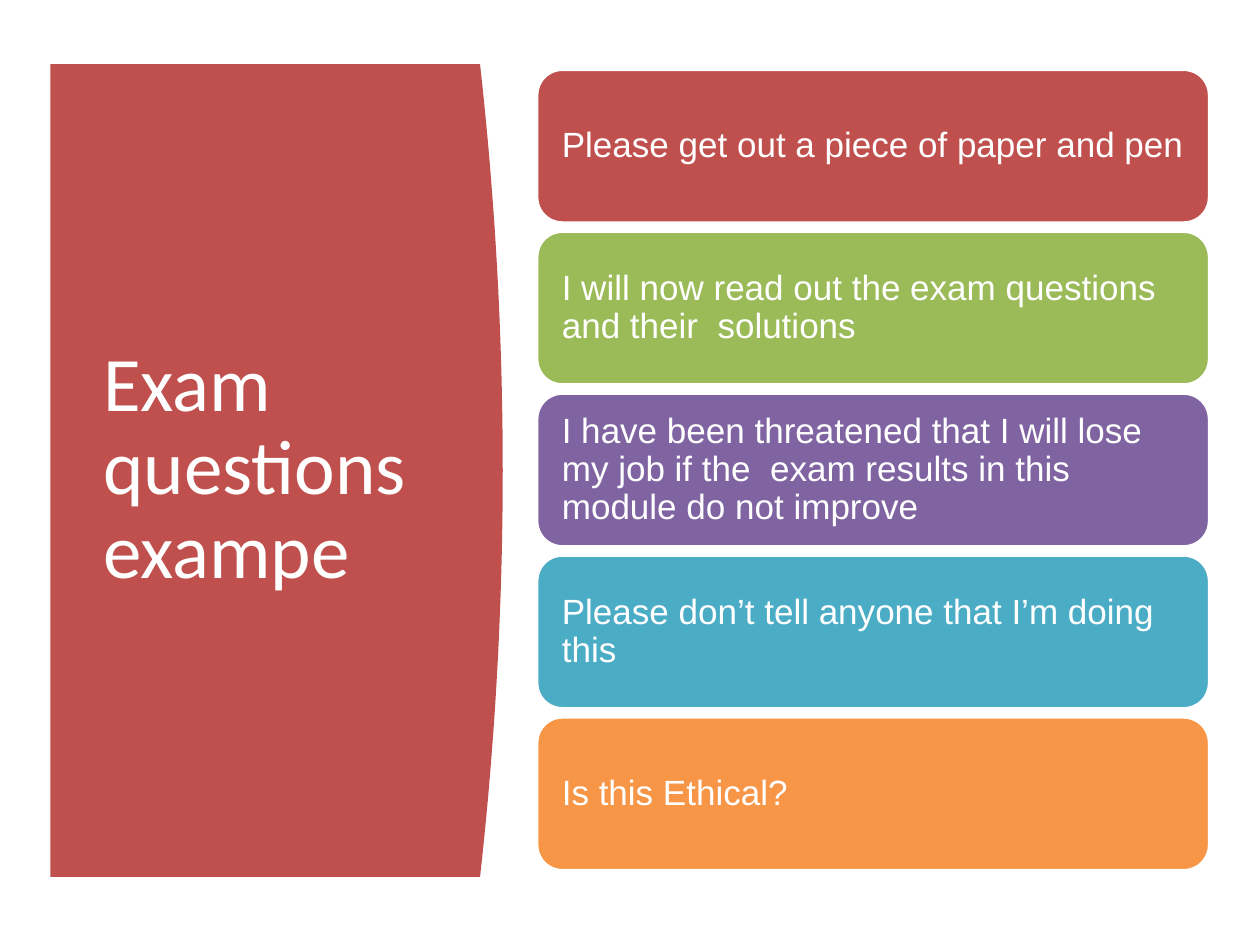
import pptx
import pptx.util
import pptx.dml.color
import pptx.enum.shapes
import pptx.enum.text

Inches, Pt = pptx.util.Inches, pptx.util.Pt

TITLE = "Exam questions exampe"
STATEMENTS = [
    ("Please get out a piece of paper and pen", "red"),
    ("I will now read out the exam questions and their  solutions", "green"),
    ("I have been threatened that I will lose my job if the  exam results "
     "in this module do not improve", "purple"),
    ("Please don’t tell anyone that I’m doing this", "blue"),
    ("Is this Ethical?", "orange"),
]
COLOURS = {
    "red": "C0504D", "green": "9BBB59", "purple": "8064A2",
    "blue": "4BACC6", "orange": "F79646", "white": "FFFFFF",
}

PANEL_LEFT, PANEL_TOP, PANEL_BOTTOM = 0.4, 0.51, 6.96
PANEL_EDGE, PANEL_BULGE, CURVE_STEPS = 3.81, 0.18, 40
CARD_LEFT, CARD_TOP, CARD_WIDTH, CARD_HEIGHT = 4.26, 0.55, 5.34, 1.22
CARD_PITCH = 1.285
CARD_INSET = 0.14


def colour(name):
    return pptx.dml.color.RGBColor.from_string(COLOURS[name])


def set_all(target, values):
    for name, value in values.items():
        setattr(target, name, value)


def paint(shape, fill):
    shape.shadow.inherit = False
    shape.fill.solid()
    shape.fill.fore_color.rgb = colour(fill)


def write(shape, text, font, size, space_after, inset):
    frame = shape.text_frame
    frame.text = text
    set_all(frame, {
        "word_wrap": True,
        "auto_size": pptx.enum.text.MSO_AUTO_SIZE.NONE,
        "vertical_anchor": pptx.enum.text.MSO_ANCHOR.MIDDLE,
        **{f"margin_{side}": Inches(inset)
           for side in ("left", "top", "right", "bottom")},
    })
    paragraph = frame.paragraphs[0]
    set_all(paragraph, {
        "alignment": pptx.enum.text.PP_ALIGN.LEFT,
        "line_spacing": 0.9,
        "space_after": Pt(space_after),
    })
    run_font = paragraph.runs[0].font
    set_all(run_font, {"name": font, "size": Pt(size)})
    run_font.color.rgb = colour("white")


def add_panel(slide):
    """Draw the panel whose right edge bows outwards as a parabola."""
    curve = []
    for step in range(CURVE_STEPS + 1):
        t = step / CURVE_STEPS
        x = PANEL_EDGE + PANEL_BULGE * 4 * t * (1 - t)
        y = PANEL_TOP + (PANEL_BOTTOM - PANEL_TOP) * t
        curve.append((Inches(x), Inches(y)))
    builder = slide.shapes.build_freeform(Inches(PANEL_LEFT), Inches(PANEL_TOP))
    builder.add_line_segments(curve + [(Inches(PANEL_LEFT), Inches(PANEL_BOTTOM))])
    panel = builder.convert_to_shape()
    paint(panel, "red")
    panel.line.fill.background()
    return panel


def add_card(slide, index, statement, fill):
    card = slide.shapes.add_shape(
        pptx.enum.shapes.MSO_SHAPE.ROUNDED_RECTANGLE,
        Inches(CARD_LEFT), Inches(CARD_TOP + index * CARD_PITCH),
        Inches(CARD_WIDTH), Inches(CARD_HEIGHT))
    paint(card, fill)
    card.line.color.rgb = colour("white")
    card.line.width = Pt(2)
    write(card, statement, "Arial", 20, 7, CARD_INSET)


def main():
    deck = pptx.Presentation()
    set_all(deck, {"slide_width": Inches(10), "slide_height": Inches(7.5)})
    slide = deck.slides.add_slide(deck.slide_layouts.get_by_name("Title Only"))

    title = slide.shapes.title
    set_all(title, {"left": Inches(0.72), "top": Inches(1.11),
                    "width": Inches(2.8), "height": Inches(5.24)})
    write(title, TITLE, "Calibri", 44, 6, 0.1)

    panel = add_panel(slide)
    title.element.addprevious(panel.element)  # the title sits on the panel
    for index, (statement, fill) in enumerate(STATEMENTS):
        add_card(slide, index, statement, fill)

    deck.save("out.pptx")


if __name__ == "__main__":
    main()
